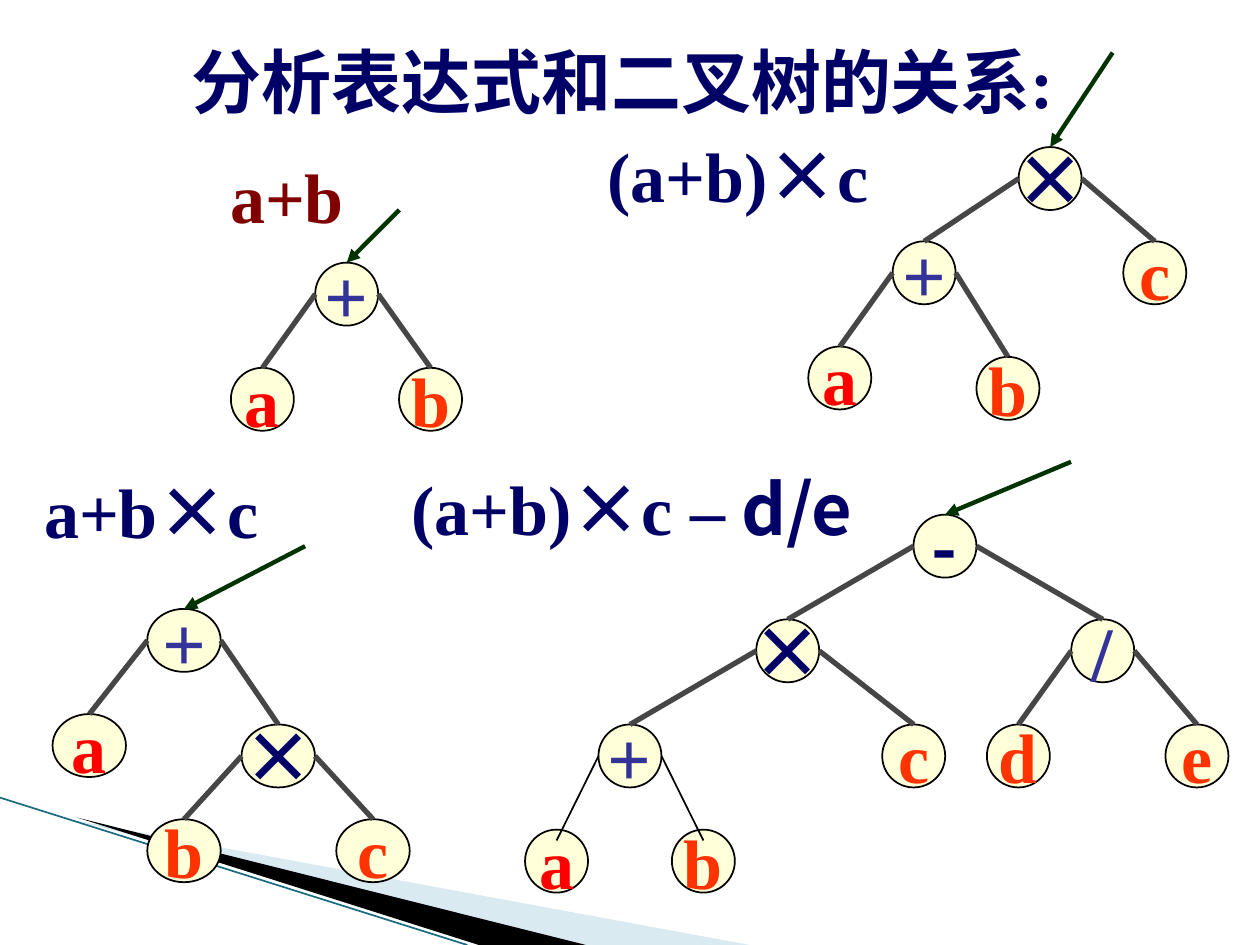
from lxml.etree import SubElement
from pptx import Presentation
from pptx.dml.color import RGBColor as Rgb
from pptx.enum.shapes import MSO_CONNECTOR as Link, MSO_SHAPE as Preset
from pptx.enum.text import MSO_ANCHOR as Anchor, MSO_AUTO_SIZE as Fit, PP_ALIGN as Align
from pptx.oxml.ns import qn
from pptx.util import Cm, Pt

COLORS = {
    "navy": "000066", "maroon": "800000", "red": "FF0000", "orange": "FF3300",
    "indigo": "333399", "cream": "FFFFD9", "black": "000000", "edge": "464646",
    "arrow": "003300", "pale": "A0CBDC", "teal": "1A6B80",
}
SERIF, SANS = "Times New Roman", "Noto Sans CJK SC"
HEIGHT = 1.27  # every node, in cm


def write(shape, pieces, color, size=40, align=Align.LEFT, anchor=Anchor.TOP):
    frame = shape.text_frame
    settings = {"word_wrap": False, "auto_size": Fit.NONE, "vertical_anchor": anchor}
    for name, value in settings.items():
        setattr(frame, name, value)
    para = frame.paragraphs[0]
    para.alignment = align
    for text, face in pieces:
        span = para.add_run()
        span.text = text
        span.font.color.rgb = Rgb.from_string(COLORS[color])
        for name, value in {"name": face, "size": Pt(size), "bold": True}.items():
            setattr(span.font, name, value)
        SubElement(span.font._element, qn("a:ea"), typeface=SANS)


def connect(start, end, color, width, arrow=False):
    points = [Cm(value) for value in (*start, *end)]
    line = page.shapes.add_connector(Link.STRAIGHT, *points)
    line.line.color.rgb = Rgb.from_string(COLORS[color])
    line.line.width = Pt(width)
    if arrow:
        SubElement(line.line._get_or_add_ln(), qn("a:tailEnd"), type="triangle")
    SubElement(line._element.spPr, qn("a:effectLst"))


deck = Presentation()
deck.slide_width, deck.slide_height = Cm(25.4), Cm(19.05)
page = deck.slides.add_slide(deck.slide_layouts[5])

# Corner decoration
wedges = [
    ("pale", 40, [(1.4, 16.52), (15.11, 19.05), (11.58, 19.05)]),
    ("black", 100, [(1.55, 16.48), (11.81, 19.05), (9.65, 19.05)]),
]
for color, opacity, corners in wedges:
    first, *rest = [(Cm(x), Cm(y)) for x, y in corners]
    builder = page.shapes.build_freeform(*first)
    builder.add_line_segments(rest)
    wedge = builder.convert_to_shape()
    wedge.shadow.inherit = False
    wedge.line.fill.background()
    wedge.fill.solid()
    wedge.fill.fore_color.rgb = Rgb.from_string(COLORS[color])
    fill = wedge._element.spPr.find(qn("a:solidFill"))
    SubElement(fill[0], qn("a:alpha"), val=str(opacity * 1000))
connect((0, 16.08), (9.42, 19.05), "teal", 0.95)

# Title
title = page.shapes.title
place = {"left": 3.61, "top": 0.64, "width": 17.96, "height": 1.96}
for name, value in place.items():
    setattr(title, name, Cm(value))
write(title, [("分析表达式和二叉树的关系:", SERIF)], "navy")

# Expressions
expressions = [
    (4.39, 2.97, 2.79, "maroon", [("a+b", SERIF)]),
    (11.99, 2.54, 5.79, "navy", [("(a+b)", SERIF), ("×", SANS), ("c", SERIF)]),
    (0.64, 9.32, 5.21, "navy", [("a+b", SERIF), ("×", SANS), ("c", SERIF)]),
    (8.05, 9.27, 9.73, "navy",
     [("(a+b)", SERIF), ("×", SANS), ("c –", SERIF), (" d/e", SANS)]),
]
for left, top, width, color, pieces in expressions:
    box = page.shapes.add_textbox(Cm(left), Cm(top), Cm(width), Cm(1.96))
    write(box, pieces, color)

# Trees: node width, arrow start, nodes as (label, centre x, centre y, parent index)
trees = [
    (1.27, (8.05, 4.23), [
        ("+", 6.99, 5.93, None), ("a", 5.29, 8.05, 0), ("b", 8.68, 8.05, 0)]),
    (1.48, (6.15, 11.01), [
        ("+", 3.71, 12.91, None), ("a", 1.8, 15.03, 0), ("×", 5.61, 15.24, 0),
        ("b", 3.71, 17.15, 2), ("c", 7.52, 17.15, 2)]),
    (1.27, (22.43, 1.06), [
        ("×", 21.17, 3.6, None), ("+", 18.63, 5.5, 0), ("c", 23.28, 5.5, 0),
        ("a", 16.93, 7.62, 1), ("b", 20.32, 7.83, 1)]),
    (1.27, (21.59, 9.31), [
        ("-", 19.05, 11.01, None), ("×", 15.88, 13.12, 0), ("/", 22.23, 13.12, 0),
        ("+", 12.7, 15.24, 1), ("c", 18.42, 15.24, 1), ("d", 20.53, 15.24, 2),
        ("e", 24.13, 15.24, 2), ("a", 11.22, 17.36, 3), ("b", 14.18, 17.36, 3)]),
]
styles = {
    "+": ("indigo", 44, SERIF), "/": ("indigo", 44, SERIF),
    "×": ("navy", 40, SANS), "-": ("navy", 40, SANS), "a": ("red", 40, SERIF),
}
for width, arrow_start, nodes in trees:
    for label, x, y, parent in nodes:
        node = page.shapes.add_shape(
            Preset.OVAL, Cm(x - width / 2), Cm(y - HEIGHT / 2), Cm(width), Cm(HEIGHT))
        node.shadow.inherit = False
        node.fill.solid()
        node.fill.fore_color.rgb = Rgb.from_string(COLORS["cream"])
        node.line.color.rgb = Rgb.from_string(COLORS["black"])
        node.line.width = Pt(1)
        color, size, face = styles.get(label, ("orange", 40, SERIF))
        write(node, [(label, face)], color, size, Align.CENTER, Anchor.MIDDLE)

    # Edges leave the parent's side and reach the child's top
    for label, x, y, parent in nodes:
        top = y - HEIGHT / 2
        if parent is None:
            connect(arrow_start, (x, top), "arrow", 2.5, arrow=True)
            continue
        _, parent_x, parent_y, _ = nodes[parent]
        side = width / 2 if x > parent_x else -width / 2
        start = (parent_x + side, parent_y)
        if parent == 3:  # the deepest level has thin edges running into the nodes
            connect(start, (x, top + 0.22), "black", 1)
        else:
            connect(start, (x, top), "edge", 3)

deck.save("out.pptx")
